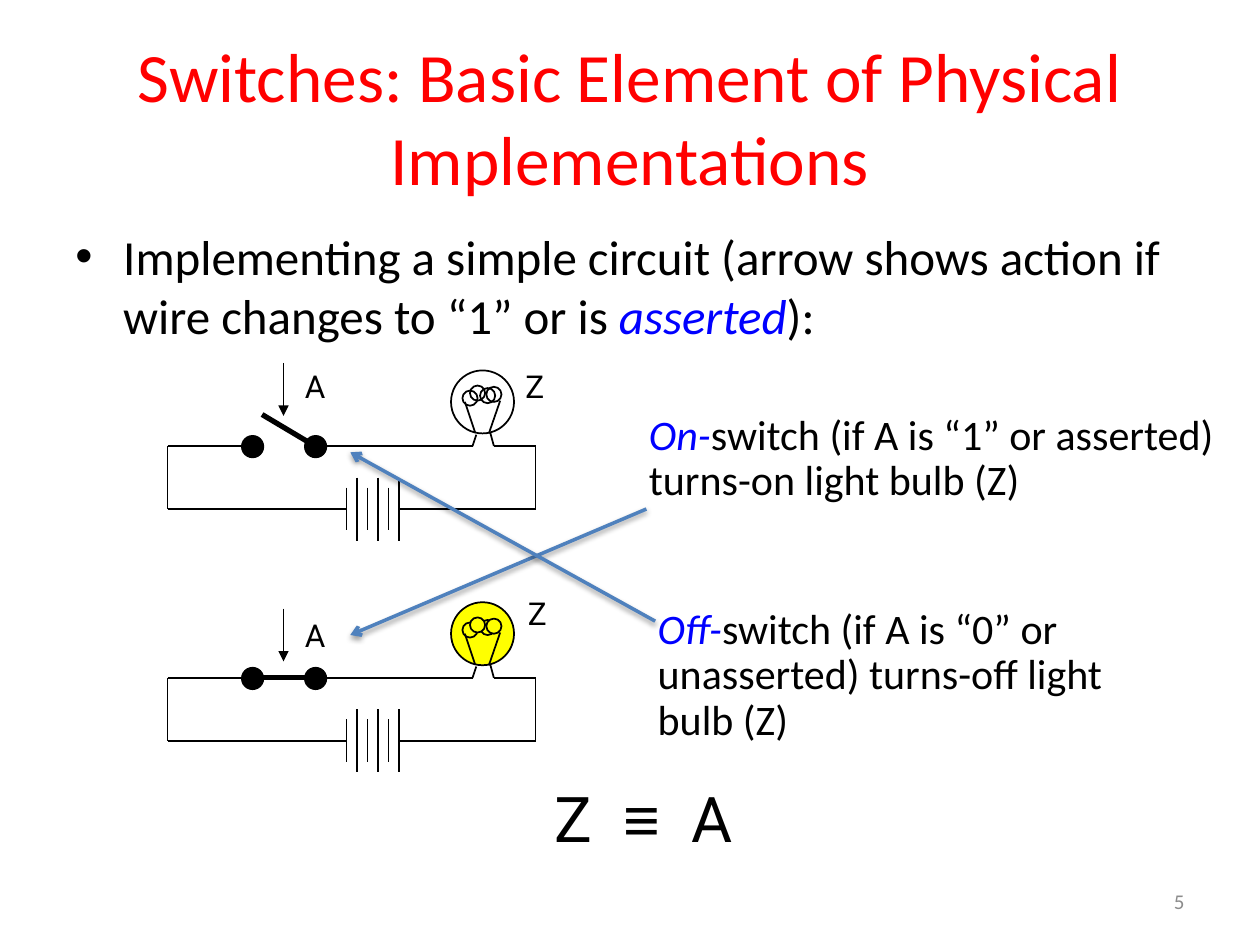
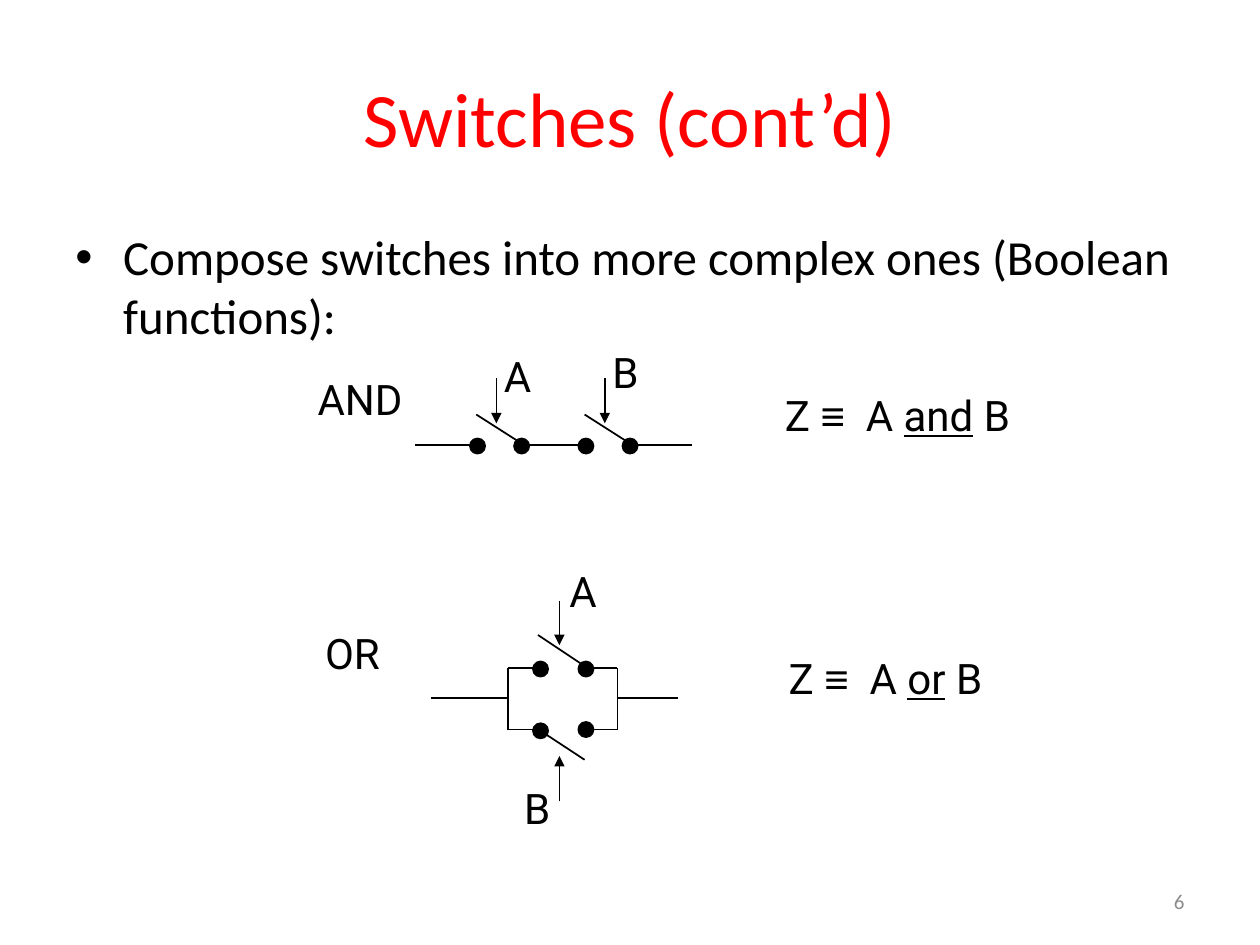
from lxml import etree
from pptx import Presentation
from pptx.dml.color import RGBColor
from pptx.enum.shapes import MSO_CONNECTOR, MSO_SHAPE
from pptx.enum.text import MSO_ANCHOR, PP_ALIGN
from pptx.oxml.ns import qn
from pptx.util import Inches, Pt

LINE = MSO_CONNECTOR.STRAIGHT
OVAL = MSO_SHAPE.OVAL
TOP, MIDDLE = MSO_ANCHOR.TOP, MSO_ANCHOR.MIDDLE
LEFT, CENTER, RIGHT = PP_ALIGN.LEFT, PP_ALIGN.CENTER, PP_ALIGN.RIGHT

BLACK, RED, BLUE = "000000", "FF0000", "0000FF"
WHITE, YELLOW, GRAY, STEEL = "FFFFFF", "FFFF00", "8C8C8C", "4F81BD"

TITLE = {"name": "Calibri", "color": RED}
BODY = {"name": "Calibri", "size": Pt(28)}
NOTE = {"name": "Calibri", "size": Pt(24)}
FOOT = {"name": "Calibri", "size": Pt(12), "color": GRAY}
TERM = {"color": BLUE, "italic": True}
SMALL = {"name": "Roboto", "size": Pt(18)}
LARGE = {"name": "Roboto", "size": Pt(24)}
HUGE = {"name": "Roboto", "size": Pt(36)}
SIGN = {"name": "Arial"}
UNDER = {"underline": True}

TIGHT = (0.02, 0.03)
ROOMY = (0.1, 0.05)
FIXED = {"line_spacing": Pt(26)}
SPACED = {"line_spacing": Pt(26), "space_before": Pt(11)}


def paint(color):
    return RGBColor.from_string(color)


def apply(target, values):
    for key, value in values.items():
        setattr(target, key, value)


def style(font, look):
    values = dict(look)
    font.color.rgb = paint(values.pop("color", BLACK))
    apply(font, values)


def text(slide, box, runs, look, para=None, pad=TIGHT, wrap=False, anchor=TOP):
    frame = slide.shapes.add_textbox(*map(Inches, box)).text_frame
    side, edge = map(Inches, pad)
    apply(frame, {"word_wrap": wrap, "vertical_anchor": anchor,
                  "margin_left": side, "margin_right": side,
                  "margin_top": edge, "margin_bottom": edge})
    block = frame.paragraphs[0]
    apply(block, para or {})
    for words, extra in runs:
        for count, part in enumerate(words.split("\n")):
            if count:
                block.add_line_break()
            run = block.add_run()
            run.text = part
            style(run.font, {**look, **extra})
    return block


def label(slide, left, top, words, look=LARGE, width=0.6):
    text(slide, (left, top, width, 0.49), [(words, {})], look, FIXED)


def line(slide, start, end, width=1, color=BLACK, tip=None):
    link = slide.shapes.add_connector(LINE, *map(Inches, (*start, *end)))
    link.line.width = Pt(width)
    link.line.color.rgb = paint(color)
    props = link._element.spPr
    if tip:
        etree.SubElement(props.find(qn("a:ln")), qn("a:tailEnd"), type=tip)
    return etree.SubElement(props, qn("a:effectLst"))


def arrow(slide, start, end):
    line(slide, start, end, tip="triangle")


def pointer(slide, start, end):
    effect = line(slide, start, end, 2, STEEL, "arrow")
    shade = etree.SubElement(effect, qn("a:outerShdw"), blurRad="40000",
                             dist="20000", dir="5400000", rotWithShape="0")
    tint = etree.SubElement(shade, qn("a:srgbClr"), val=BLACK)
    etree.SubElement(tint, qn("a:alpha"), val="38000")


def chain(slide, *points):
    for start, end in zip(points, points[1:]):
        line(slide, start, end)


def oval(slide, left, top, size, fill=BLACK):
    shape = slide.shapes.add_shape(OVAL, *map(Inches, (left, top, size, size)))
    shape.shadow.inherit = False
    if fill:
        shape.fill.solid()
        shape.fill.fore_color.rgb = paint(fill)
    else:
        shape.fill.background()
    shape.line.color.rgb = paint(BLACK)
    shape.line.width = Pt(1)


def frame(deck, title, size, runs, height, number):
    slide = deck.slides.add_slide(deck.slide_layouts[6])
    text(slide, (0.5, 0.3, 9, 1.25), [(title, {})], {**TITLE, "size": Pt(size)},
         {"alignment": CENTER}, ROOMY, True, MIDDLE)
    block = text(slide, (0.5, 1.75, 9, height), runs, BODY,
                 {"alignment": LEFT, "space_before": Pt(5.6)}, ROOMY, True)
    props = block._p.get_or_add_pPr()
    props.set("marL", str(Inches(0.38)))
    props.set("indent", str(Inches(-0.38)))
    etree.SubElement(props, qn("a:buFont"), typeface="Arial")
    etree.SubElement(props, qn("a:buChar"), char="•")
    text(slide, (7.17, 6.95, 2.33, 0.4), [(number, {})], FOOT,
         {"alignment": RIGHT}, ROOMY, True, MIDDLE)
    return slide


def bulb(slide, wire, glass, coil):
    oval(slide, 3.58, wire - 0.6, 0.5, glass)
    for left, rise in ((3.67, 0.44), (3.81, 0.46), (3.86, 0.47)):
        oval(slide, left, wire - rise, 0.12, coil)
    line(slide, (3.69, wire - 0.35), (3.77, wire - 0.11))
    line(slide, (3.97, wire - 0.36), (3.88, wire - 0.1))
    oval(slide, 3.73, wire - 0.48, 0.12, coil)
    chain(slide, (3.78, wire - 0.09), (3.75, wire), (2.5, wire))
    chain(slide, (3.89, wire - 0.11), (3.92, wire), (4.25, wire))


def battery(slide, mid):
    for step in range(6):
        left = 2.75 + step / 12
        half = 0.25 if step % 2 else 0.17
        line(slide, (left, mid - half), (left, mid + half))


def circuit(slide, wire, lever, glass, coil):
    base = wire + 0.5
    chain(slide, (4.25, wire), (4.25, base), (3.17, base))
    chain(slide, (2.75, base), (1.33, base), (1.33, wire), (2, wire))
    bulb(slide, wire, glass, coil)
    line(slide, (2.5, wire), lever, 3)
    for left in (1.92, 2.42):
        oval(slide, left, wire - 0.08, 0.17)
    battery(slide, base)


def basics(deck):
    slide = frame(deck, "Switches: Basic Element of Physical Implementations", 39.6,
                  [("Implementing a simple circuit (arrow shows action if "
                    "wire changes to “1” or is ", {}),
                   ("asserted", TERM), ("):", {})], 1.03, "5")
    circuit(slide, 3.54, (2.08, 3.29), WHITE, None)
    circuit(slide, 5.38, (2, 5.38), YELLOW, YELLOW)
    for left, top, words in ((2.4, 2.82, "A"), (4.15, 2.82, "Z"),
                             (2.4, 4.8, "A"), (4.17, 4.62, "Z")):
        label(slide, left, top, words, SMALL)
    for top in (2.88, 4.83):
        arrow(slide, (2.25, top), (2.25, top + 0.42))
    text(slide, (5.13, 3.25, 4.65, 1.12),
         [("On-", TERM),
          ("switch (if A is “1” or asserted)\nturns-on light bulb (Z)", {})],
         NOTE, SPACED)
    text(slide, (5.2, 4.79, 4.45, 1.12),
         [("Off-", TERM),
          ("switch (if A is “0” or \nunasserted) turns-off light \nbulb (Z)", {})],
         NOTE, SPACED)
    pointer(slide, (5.13, 4.04), (2.78, 5.04))
    pointer(slide, (5.2, 4.93), (2.78, 3.59))
    text(slide, (4.3, 6.38, 1.7, 0.51),
         [("Z  ", {}), ("≡", SIGN), ("  A", {})], HUGE, SPACED, ROOMY)


def series(slide):
    for left in (3.29, 4.15, 5.01):
        line(slide, (left, 3.53), (left + 0.48, 3.53))
    for left in (3.73, 4.59):
        line(slide, (left + 0.05, 3.29), (left + 0.41, 3.52))
        arrow(slide, (left + 0.21, 3), (left + 0.21, 3.36))
        for gap in (0, 0.35):
            oval(slide, left + gap, 3.48, 0.12)


def branch(slide):
    chain(slide, (4.29, 5.3), (4.03, 5.3), (4.03, 5.79), (4.27, 5.79))
    chain(slide, (4.64, 5.3), (4.9, 5.3), (4.9, 5.79), (4.66, 5.79))
    line(slide, (3.42, 5.54), (4.03, 5.54))
    line(slide, (4.9, 5.54), (5.38, 5.54))
    line(slide, (4.66, 5.3), (4.27, 5.04))
    line(slide, (4.29, 5.8), (4.64, 6.03))
    arrow(slide, (4.44, 4.77), (4.44, 5.12))
    arrow(slide, (4.44, 6.36), (4.44, 6))
    for left, top in ((4.23, 5.25), (4.59, 5.25), (4.23, 5.74), (4.59, 5.73)):
        oval(slide, left, top, 0.12)


def gates(deck):
    slide = frame(deck, "Switches (cont’d)", 44,
                  [("Compose switches into more complex ones (Boolean functions):", {})],
                  4.95, "6")
    series(slide)
    branch(slide)
    label(slide, 2.5, 2.97, "AND", width=0.99)
    label(slide, 2.56, 4.99, "OR", width=0.82)
    for left, top, words in ((3.98, 2.79, "A"), (4.84, 2.76, "B"),
                             (4.5, 4.5, "A"), (4.14, 6.22, "B")):
        label(slide, left, top, words)
    for left, top, width, word in ((6.21, 3.1, 1.95, "and"), (6.24, 5.19, 1.7, "or")):
        text(slide, (left, top, width, 0.64),
             [("Z ", {}), ("≡", SIGN), ("  A ", {}), (word, UNDER), (" B", {})],
             LARGE, SPACED, wrap=True)


def main():
    deck = Presentation()
    deck.slide_width, deck.slide_height = Inches(10), Inches(7.5)
    basics(deck)
    gates(deck)
    deck.save("out.pptx")


if __name__ == "__main__":
    main()
